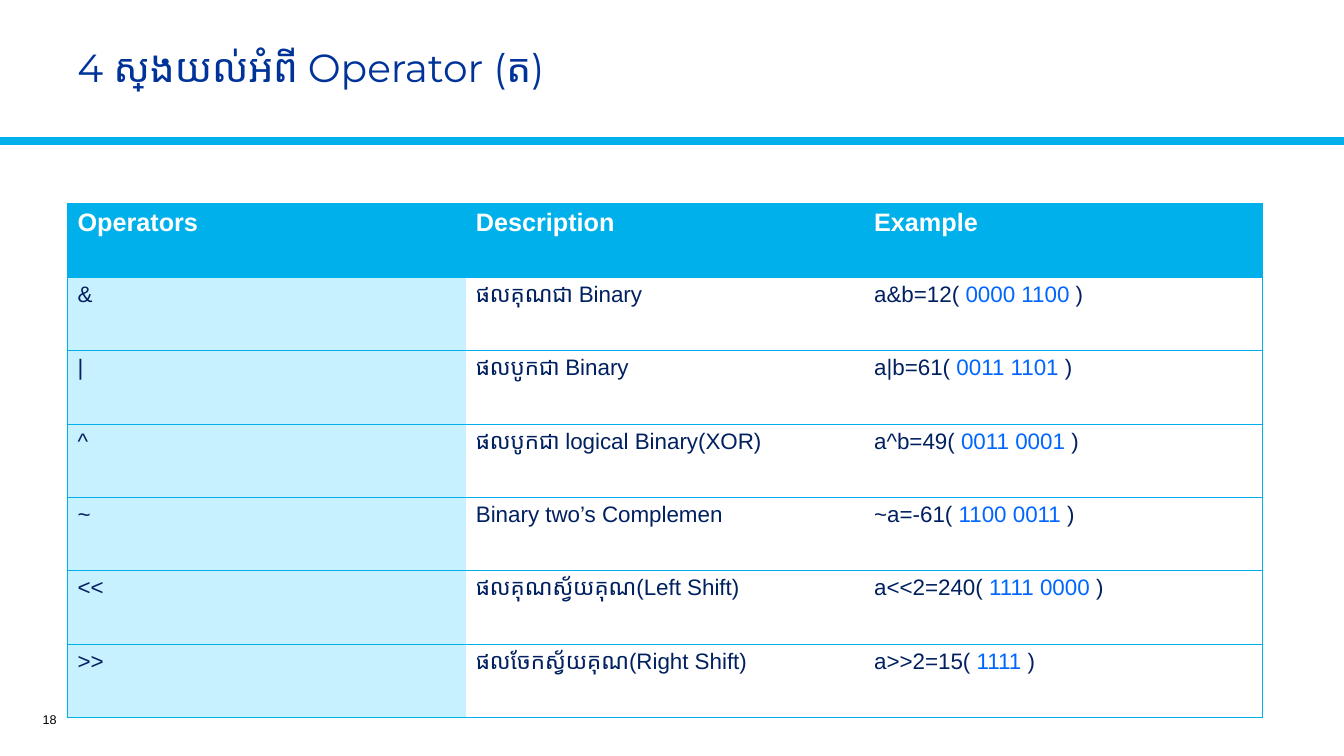
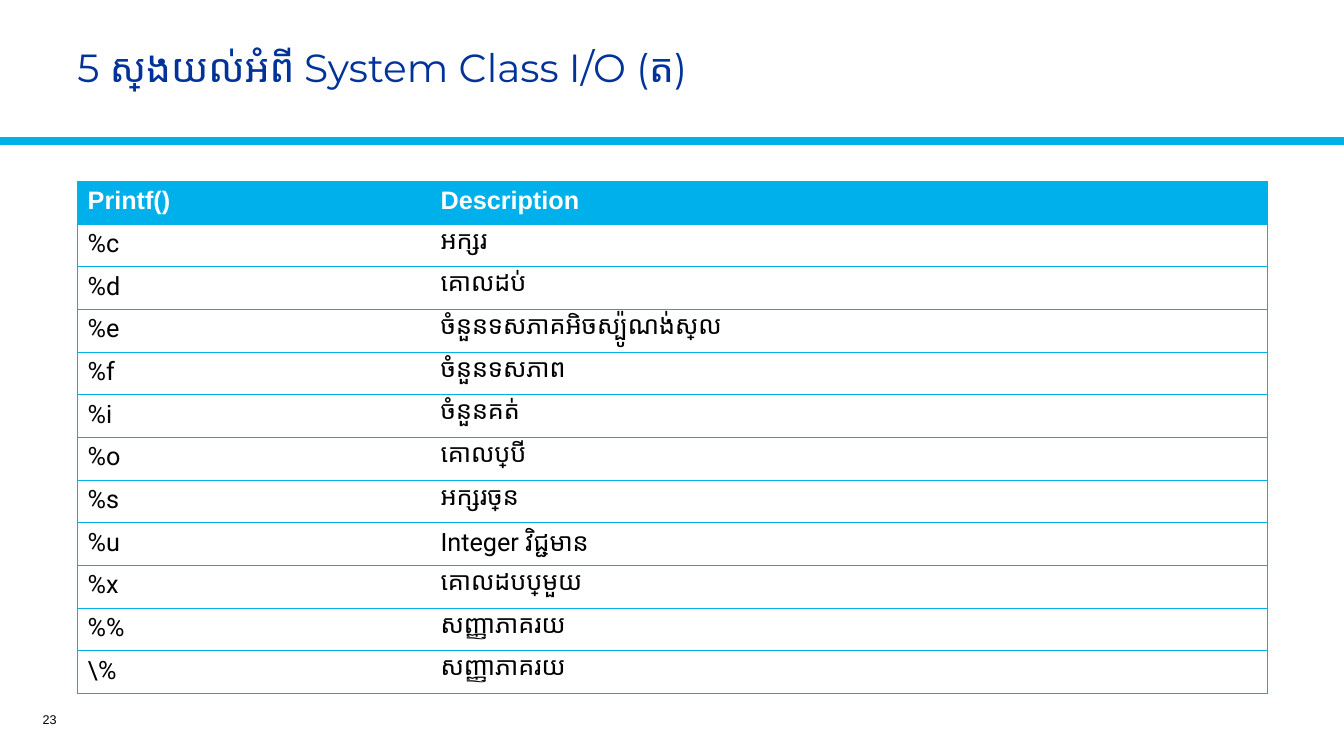
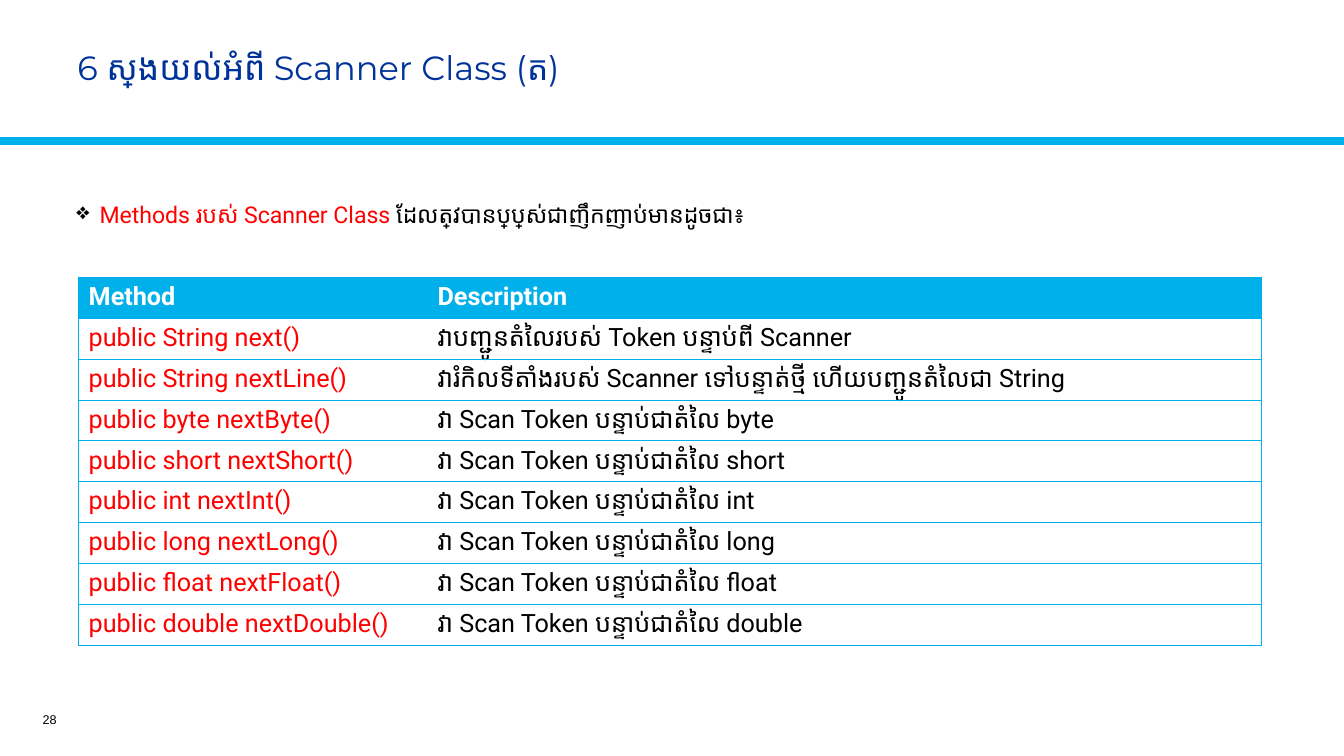
from lxml import etree
from pptx import Presentation
from pptx.dml.color import RGBColor
from pptx.enum.shapes import MSO_CONNECTOR
from pptx.enum.text import MSO_ANCHOR, PP_ALIGN
from pptx.oxml.ns import qn
from pptx.util import Inches, Pt

STRAIGHT = MSO_CONNECTOR.STRAIGHT
TOP, MIDDLE = MSO_ANCHOR.TOP, MSO_ANCHOR.MIDDLE
LEFT, RIGHT = PP_ALIGN.LEFT, PP_ALIGN.RIGHT

COLORS = {
    "accent": "00B0EA",
    "title": "003399",
    "navy": "002060",
    "bits": "0066FF",
    "tint": "C8F1FF",
    "red": "FF0000",
    "black": "000000",
    "white": "FFFFFF",
}
SLIDE_WIDTH, SLIDE_HEIGHT = 13.33, 7.5
RULE_TOP = 1.4

OPERATORS = [
    ("&", "ផលគុណជា Binary", "a&b=12( ", "0000 1100 "),
    ("|", "ផលបូកជា Binary", "a|b=61( ", "0011 1101 "),
    ("^", "ផលបូកជា logical Binary(XOR)", "a^b=49( ", "0011 0001 "),
    ("~", "Binary two’s Complemen", "~a=-61( ", "1100 0011 "),
    ("<<", "ផលគុណស្វ័យគុណ(Left Shift)", "a<<2=240( ", "1111 0000 "),
    (">>", "ផលចែកស្វ័យគុណ(Right Shift)", "a>>2=15( ", "1111 "),
]
FORMAT_CODES = [
    ("%c", "អក្សរ"),
    ("%d", "គោលដប់"),
    ("%e", "ចំនួនទសភាគអិចស្ប៉ូណង់ស្យែល"),
    ("%f", "ចំនួនទសភាព"),
    ("%i", "ចំនួនគត់"),
    ("%o", "គោលប្រាំបី"),
    ("%s", "អក្សរច្រើន"),
    ("%u", "Integer វិជ្ជមាន"),
    ("%x", "គោលដបប្រាំមួយ"),
    ("%%", "សញ្ញាភាគរយ"),
    ("\\%", "សញ្ញាភាគរយ"),
]
NUMBER_TYPES = ["byte", "short", "int", "long", "float", "double"]
SCANNER_METHODS = [
    ("public String next()", "វាបញ្ជូនតំលៃរបស់ Token បន្ទាប់ពី Scanner"),
    ("public String nextLine()",
     "វារំកិលទីតាំងរបស់ Scanner ទៅបន្ទាត់ថ្មី ហើយបញ្ជូនតំលៃជា String"),
] + [
    (f"public {kind} next{kind.capitalize()}()", f"វា Scan Token បន្ទាប់ជាតំលៃ {kind}")
    for kind in NUMBER_TYPES
]


def rgb(name):
    """Return the palette colour called name."""
    return RGBColor.from_string(COLORS[name])


def write(frame, runs, size=18, font="Arial", color="black", bold=False,
          align=LEFT, anchor=TOP, spacing=1.0, bullet=None):
    """Fill a text frame with one paragraph of (text, colour) runs or a string."""
    frame.word_wrap = True
    frame.vertical_anchor = anchor
    paragraph = frame.paragraphs[0]
    paragraph.alignment = align
    paragraph.line_spacing = spacing
    if bullet:
        properties = paragraph._p.get_or_add_pPr()
        properties.set("marL", str(Inches(0.23)))
        properties.set("indent", str(Inches(-0.23)))
        tone = etree.SubElement(properties, qn("a:buClr"))
        etree.SubElement(tone, qn("a:srgbClr"), val=COLORS["black"])
        etree.SubElement(properties, qn("a:buChar"), char=bullet)
    for text, tint in [(runs, color)] if isinstance(runs, str) else runs:
        run = paragraph.add_run()
        run.text = text
        run.font.size = Pt(size)
        run.font.name = font
        run.font.bold = bold
        run.font.color.rgb = rgb(tint)


def add_text(slide, box, runs, **style):
    """Place text in a box given as left, top, width, height."""
    frame = slide.shapes.add_textbox(*map(Inches, box)).text_frame
    write(frame, runs, **style)


def add_page(deck, title, number, title_size=28):
    """Add a slide with the title, rule and page number shared by all."""
    slide = deck.slides.add_slide(deck.slide_layouts[6])
    rule = slide.shapes.add_connector(
        STRAIGHT, 0, Inches(RULE_TOP), Inches(SLIDE_WIDTH), Inches(RULE_TOP))
    rule.line.color.rgb = rgb("accent")
    rule.line.width = Pt(6)
    etree.SubElement(rule._element.spPr, qn("a:effectLst"))
    add_text(slide, (0.67, 0.14, 12.02, 1.11), title, size=title_size,
             font="Montserrat", color="title", anchor=MIDDLE, spacing=0.9)
    add_text(slide, (0.09, 6.99, 0.57, 0.3), str(number), size=9,
             align=RIGHT, anchor=MIDDLE)
    return slide


def set_borders(cell, first, last):
    """Draw horizontal lines, and side lines only at the table's edges."""
    properties = cell._tc.get_or_add_tcPr()
    sides = {"lnL": first, "lnR": last, "lnT": True, "lnB": True}
    for side, shown in sides.items():
        line = etree.SubElement(properties, qn(f"a:{side}"), w=str(Pt(0.5)))
        if shown:
            fill = etree.SubElement(line, qn("a:solidFill"))
            etree.SubElement(fill, qn("a:srgbClr"), val=COLORS["accent"])
        else:
            etree.SubElement(line, qn("a:noFill"))


def add_grid(slide, box, widths, header, rows, header_font="Arial",
             first_fill=None, **style):
    """Add a table with a coloured header and evenly tall rows."""
    lines = [header, *rows]
    table = slide.shapes.add_table(len(lines), len(widths), *map(Inches, box)).table
    table.horz_banding = False
    for column, width in zip(table.columns, widths):
        column.width = Inches(width)
    for row_index, (row, line) in enumerate(zip(table.rows, lines)):
        row.height = Inches(box[3] / len(lines))
        for index, (cell, content) in enumerate(zip(row.cells, line)):
            set_borders(cell, index == 0, index == len(widths) - 1)
            fill = "accent" if row_index == 0 else first_fill if index == 0 else None
            if fill:
                cell.fill.solid()
                cell.fill.fore_color.rgb = rgb(fill)
            else:
                cell.fill.background()
            if row_index == 0:
                write(cell.text_frame, content, font=header_font, color="white", bold=True)
            else:
                write(cell.text_frame, content, **style)


def operators_slide(deck):
    """Build the slide on binary operators."""
    slide = add_page(deck, "4 ស្វែងយល់អំពី Operator (ត)", 18)
    rows = [
        (sign, meaning, [(start, "navy"), (bits, "bits"), (")", "navy")])
        for sign, meaning, start, bits in OPERATORS
    ]
    add_grid(slide, (0.67, 2.02, 11.86, 5.1), [3.95] * 3,
             ("Operators", "Description", "Example"), rows,
             first_fill="tint", size=16, color="navy")


def printf_slide(deck):
    """Build the slide on format codes."""
    slide = add_page(deck, "5 ស្វែងយល់អំពី System Class I/O (ត)", 23)
    add_grid(slide, (0.77, 1.8, 11.8, 5.08), (3.5, 8.3),
             ("Printf()", "Description"), FORMAT_CODES, font="Roboto")


def scanner_slide(deck):
    """Build the slide on scanner methods."""
    slide = add_page(deck, "6 ស្វែងយល់អំពី Scanner Class (ត)", 28, title_size=24)
    intro = [("Methods របស់ Scanner Class ", "red"),
             ("ដែលត្រូវបានប្រើប្រាស់ជាញឹកញាប់មានដូចជា៖", "black")]
    add_text(slide, (0.66, 1.94, 12.05, 0.5), intro, size=16.5,
             font="Roboto", bullet="❖")
    rows = [([(method, "red")], meaning) for method, meaning in SCANNER_METHODS]
    add_grid(slide, (0.78, 2.75, 11.73, 3.65), (3.46, 8.27),
             ("Method", "Description"), rows, header_font="Roboto", font="Roboto")


def main():
    """Build and save the deck."""
    deck = Presentation()
    deck.slide_width = Inches(SLIDE_WIDTH)
    deck.slide_height = Inches(SLIDE_HEIGHT)
    operators_slide(deck)
    printf_slide(deck)
    scanner_slide(deck)
    deck.save("out.pptx")


if __name__ == "__main__":
    main()
